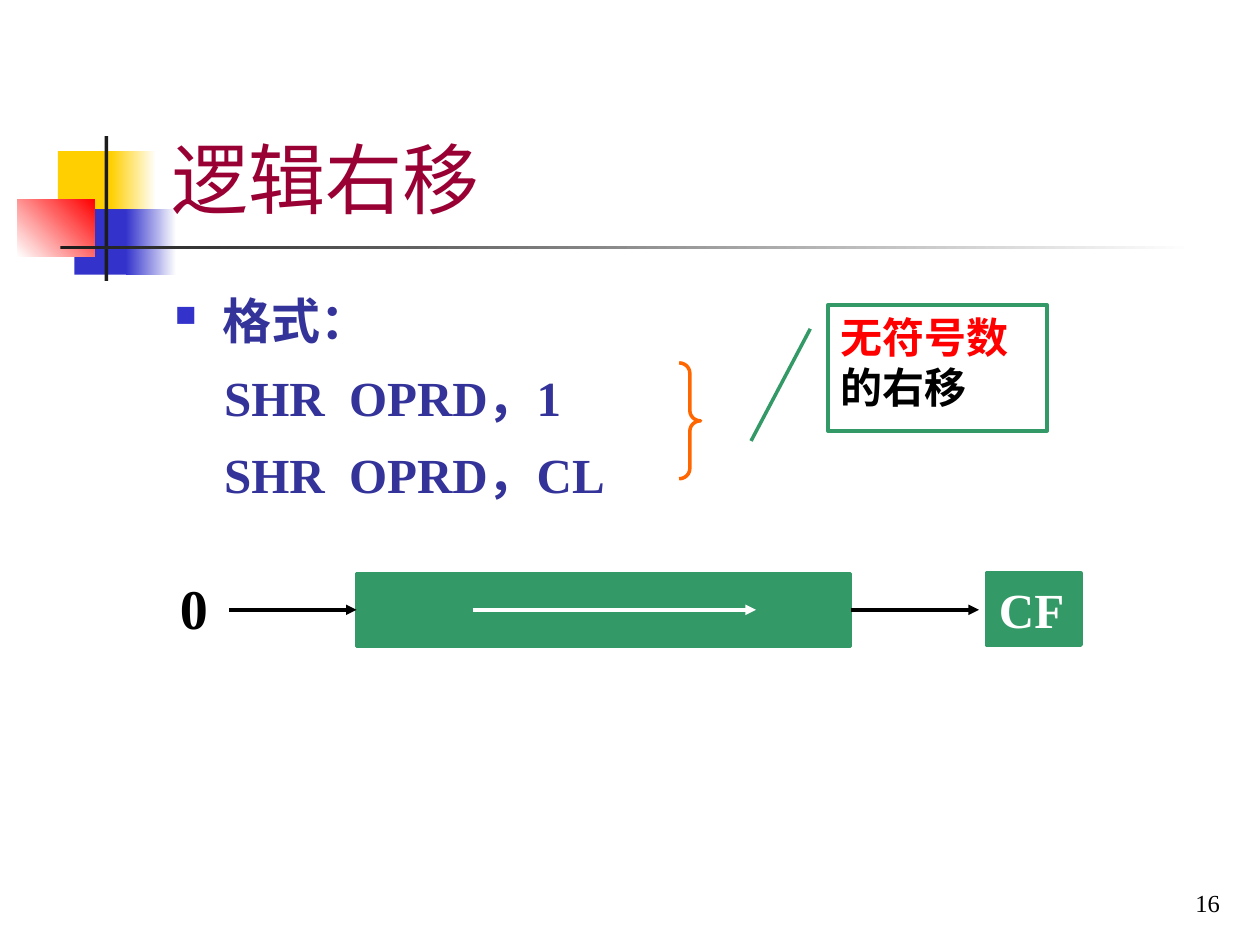
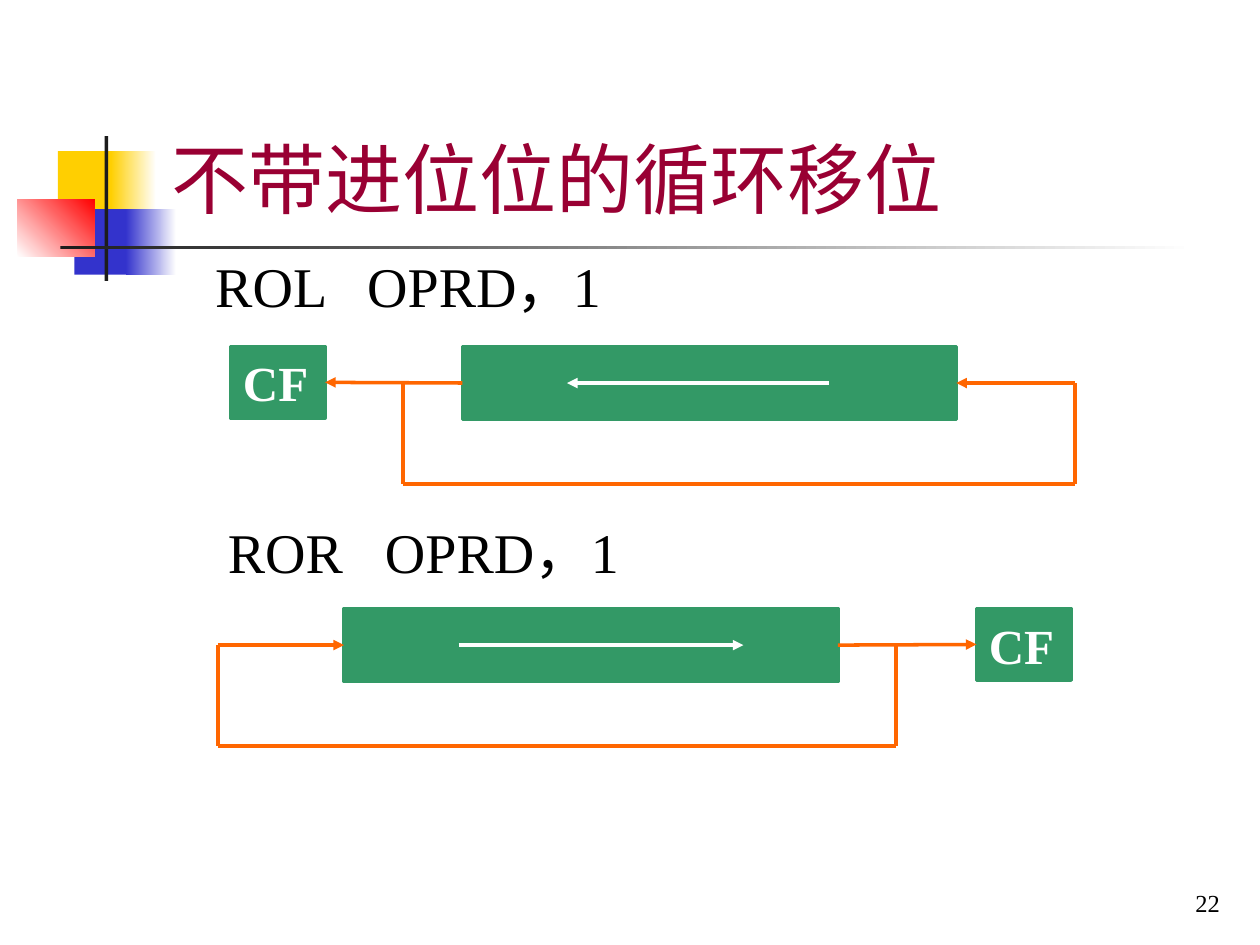
from lxml.etree import SubElement
from pptx import Presentation
from pptx.dml.color import RGBColor
from pptx.enum.lang import MSO_LANGUAGE_ID
from pptx.enum.shapes import MSO_CONNECTOR, MSO_SHAPE
from pptx.enum.text import MSO_ANCHOR, PP_ALIGN
from pptx.oxml.ns import qn
from pptx.util import Inches, Pt

BLACK = RGBColor(0x00, 0x00, 0x00)
WHITE = RGBColor(0xFF, 0xFF, 0xFF)
CHARCOAL = RGBColor(0x1C, 0x1C, 0x1C)
YELLOW = RGBColor(0xFF, 0xCF, 0x01)
BLUE = RGBColor(0x33, 0x33, 0xCC)
INDIGO = RGBColor(0x33, 0x33, 0x99)
RED = RGBColor(0xFF, 0x00, 0x00)
MAROON = RGBColor(0x99, 0x00, 0x33)
GREEN = RGBColor(0x33, 0x99, 0x66)
ORANGE = RGBColor(0xFF, 0x66, 0x00)
FONT = "Times New Roman"
TOP, LEFT, BOTTOM, RIGHT = 0, 1, 2, 3

# Left, top, width, height, colours (two make a gradient), gradient angle
DECORATION = [
    (0.46, 1.2, 0.48, 0.52, [YELLOW], 0),
    (0.88, 1.2, 0.36, 0.52, [YELLOW, WHITE], 0),
    (0.59, 1.66, 0.46, 0.52, [BLUE], 0),
    (1.0, 1.66, 0.4, 0.52, [BLUE, WHITE], 0),
    (0.14, 1.58, 0.61, 0.46, [WHITE, RED], 45),
    (0.83, 1.08, 0.03, 1.15, [CHARCOAL], 0),
    (0.48, 1.95, 9, 0.03, [CHARCOAL, WHITE], 0),
]
REGISTER_SIZE = (3.92, 0.58)
FLAG_SIZE = (0.75, 0.57)
LOOP_DROP = 0.8

SHIFT = {
    "title": "逻辑右移",
    "page": "16",
    "heading": "格式：",
    "formats": ["SHR  OPRD，1", "SHR  OPRD，CL"],
    "note": [("无符号数", RED), ("的右移", BLACK)],
}
ROTATE = {
    "title": "不带进位位的循环移位",
    "page": "22",
    "rows": [
        dict(code="ROL   OPRD，1", code_at=(1.61, 1.95), top=2.75, register=3.67,
             flag=1.83, inner=(6.58, 4.5), branch=3.2, turn=8.53, out=LEFT, back=RIGHT),
        dict(code="ROR   OPRD，1", code_at=(1.71, 4.06), top=4.83, register=2.73,
             flag=7.75, inner=(3.64, 5.9), branch=7.11, turn=1.73, out=RIGHT, back=LEFT),
    ],
}


def add_run(paragraph, text, size, color, bold=False):
    run = paragraph.add_run()
    run.text = text
    run.font.name = FONT
    run.font.size = Pt(size)
    run.font.bold = bold
    run.font.color.rgb = color
    run.font.language_id = MSO_LANGUAGE_ID.SIMPLIFIED_CHINESE


def add_text(slide, box, text, size, color=BLACK, bold=False,
             anchor=MSO_ANCHOR.TOP, align=PP_ALIGN.LEFT):
    frame = slide.shapes.add_textbox(*map(Inches, box)).text_frame
    frame.word_wrap = True
    frame.vertical_anchor = anchor
    paragraph = frame.paragraphs[0]
    paragraph.alignment = align
    add_run(paragraph, text, size, color, bold)
    return frame


def add_preset(slide, preset, box, fill=None, line=None):
    shape = slide.shapes.add_shape(preset, *map(Inches, box))
    shape.shadow.inherit = False
    if fill is None:
        shape.fill.background()
    else:
        shape.fill.solid()
        shape.fill.fore_color.rgb = fill
    if line is None:
        shape.line.fill.background()
    else:
        shape.line.color.rgb = line
        shape.line.width = Pt(2)
    return shape


def add_line(slide, start, end, color, arrow=False):
    """Draw a straight line; each end is an (x, y) point or a (shape, side) joint."""
    joints = [(i, e) for i, e in enumerate((start, end)) if hasattr(e[0], "shape_id")]
    points = [(0, 0) if hasattr(e[0], "shape_id") else tuple(map(Inches, e))
              for e in (start, end)]
    line = slide.shapes.add_connector(MSO_CONNECTOR.STRAIGHT, *points[0], *points[1])
    for index, (shape, side) in joints:
        (line.end_connect if index else line.begin_connect)(shape, side)
    line.line.color.rgb = color
    line.line.width = Pt(2)
    if arrow:
        SubElement(line.line._get_or_add_ln(), qn("a:tailEnd"), type="triangle")
    SubElement(line._element.spPr, qn("a:effectLst"))


def add_register(slide, left, top, inner):
    """Draw a register with the white arrow that shows the shift direction."""
    register = add_preset(slide, MSO_SHAPE.RECTANGLE, (left, top, *REGISTER_SIZE), GREEN, GREEN)
    middle = top + REGISTER_SIZE[1] / 2
    add_line(slide, (inner[0], middle), (inner[1], middle), WHITE, arrow=True)
    return register


def add_flag(slide, left, top):
    flag = add_preset(slide, MSO_SHAPE.RECTANGLE, (left, top, *FLAG_SIZE), GREEN, GREEN)
    flag.text_frame.vertical_anchor = MSO_ANCHOR.MIDDLE
    paragraph = flag.text_frame.paragraphs[0]
    paragraph.alignment = PP_ALIGN.LEFT
    add_run(paragraph, "CF", 28, WHITE, bold=True)
    return flag


def start_slide(deck, content):
    slide = deck.slides.add_slide(deck.slide_layouts[6])
    for *box, colors, angle in DECORATION:
        part = add_preset(slide, MSO_SHAPE.RECTANGLE, box, colors[0])
        if len(colors) == 2:
            part.fill.gradient()
            part.fill.gradient_angle = angle
            for stop, color in zip(part.fill.gradient_stops, colors):
                stop.color.rgb = color
    add_text(slide, (1.26, 0.23, 8.52, 1.6), content["title"], 44, MAROON,
             anchor=MSO_ANCHOR.BOTTOM)
    add_text(slide, (7.7, 6.83, 2.08, 0.5), content["page"], 14,
             anchor=MSO_ANCHOR.BOTTOM, align=PP_ALIGN.RIGHT)
    return slide


def set_indent(paragraph, left, first):
    properties = paragraph._p.get_or_add_pPr()
    properties.set("marL", str(Inches(left)))
    properties.set("indent", str(Inches(first)))
    return properties


def add_formats(slide, heading, formats):
    body = add_text(slide, (1.29, 2.21, 3.9, 3.83), heading, 28, INDIGO, bold=True)
    bulleted = set_indent(body.paragraphs[0], 0.38, -0.38)
    bullet_color = SubElement(bulleted, qn("a:buClr"))
    SubElement(bullet_color, qn("a:srgbClr"), val=str(BLUE))
    SubElement(bulleted, qn("a:buSzPct"), val="60000")
    SubElement(bulleted, qn("a:buChar"), char="■")
    for code in formats:
        paragraph = body.add_paragraph()
        set_indent(paragraph, 0.39, 0)
        paragraph.space_before = Pt(5.2)
        add_run(paragraph, code, 28, INDIGO, bold=True)
    for paragraph in body.paragraphs:
        paragraph.line_spacing = 1.1
        paragraph.space_after = Pt(1.8)


def build_shift(deck):
    slide = start_slide(deck, SHIFT)
    add_formats(slide, SHIFT["heading"], SHIFT["formats"])

    top = 4.55
    middle = top + REGISTER_SIZE[1] / 2
    register = add_register(slide, 2.83, top, (3.75, 6))
    add_flag(slide, 7.83, top)
    add_text(slide, (1.33, 4.5, 0.58, 0.64), "0", 32, bold=True)
    add_line(slide, (1.82, middle), (register, LEFT), BLACK, arrow=True)
    add_line(slide, (register, RIGHT), (7.77, middle), BLACK, arrow=True)

    brace = add_preset(slide, MSO_SHAPE.RIGHT_BRACE, (5.39, 2.88, 0.17, 0.92), line=ORANGE)
    brace.adjustments[0] = 0.48
    callout = add_preset(slide, MSO_SHAPE.LINE_CALLOUT_1, (6.57, 2.42, 1.74, 1), line=GREEN)
    for index, share in enumerate((0.19, -0.08, 1.08, -0.35)):
        callout.adjustments[index] = share
    callout.text_frame.word_wrap = True
    callout.text_frame.vertical_anchor = MSO_ANCHOR.TOP
    note = callout.text_frame.paragraphs[0]
    note.alignment = PP_ALIGN.LEFT
    for text, color in SHIFT["note"]:
        add_run(note, text, 24, color, bold=True)


def add_rotation(slide, row):
    """Draw a register whose outgoing bit feeds CF and loops back to the other end."""
    out, back, branch, turn = (row[key] for key in ("out", "back", "branch", "turn"))
    middle = row["top"] + REGISTER_SIZE[1] / 2
    bottom = middle + LOOP_DROP
    add_text(slide, (*row["code_at"], 4.95, 0.64), row["code"], 32)
    register = add_register(slide, row["register"], row["top"], row["inner"])
    flag = add_flag(slide, row["flag"], row["top"])
    add_line(slide, (register, out), (flag, back), ORANGE, arrow=True)
    corners = [(branch, middle), (branch, bottom), (turn, bottom), (turn, middle)]
    for start, end in zip(corners, corners[1:]):
        add_line(slide, start, end, ORANGE)
    add_line(slide, corners[-1], (register, back), ORANGE, arrow=True)


def build_rotate(deck):
    slide = start_slide(deck, ROTATE)
    for row in ROTATE["rows"]:
        add_rotation(slide, row)


def main():
    deck = Presentation()
    deck.slide_width, deck.slide_height = Inches(10), Inches(7.5)
    build_shift(deck)
    build_rotate(deck)
    deck.save("out.pptx")


if __name__ == "__main__":
    main()
